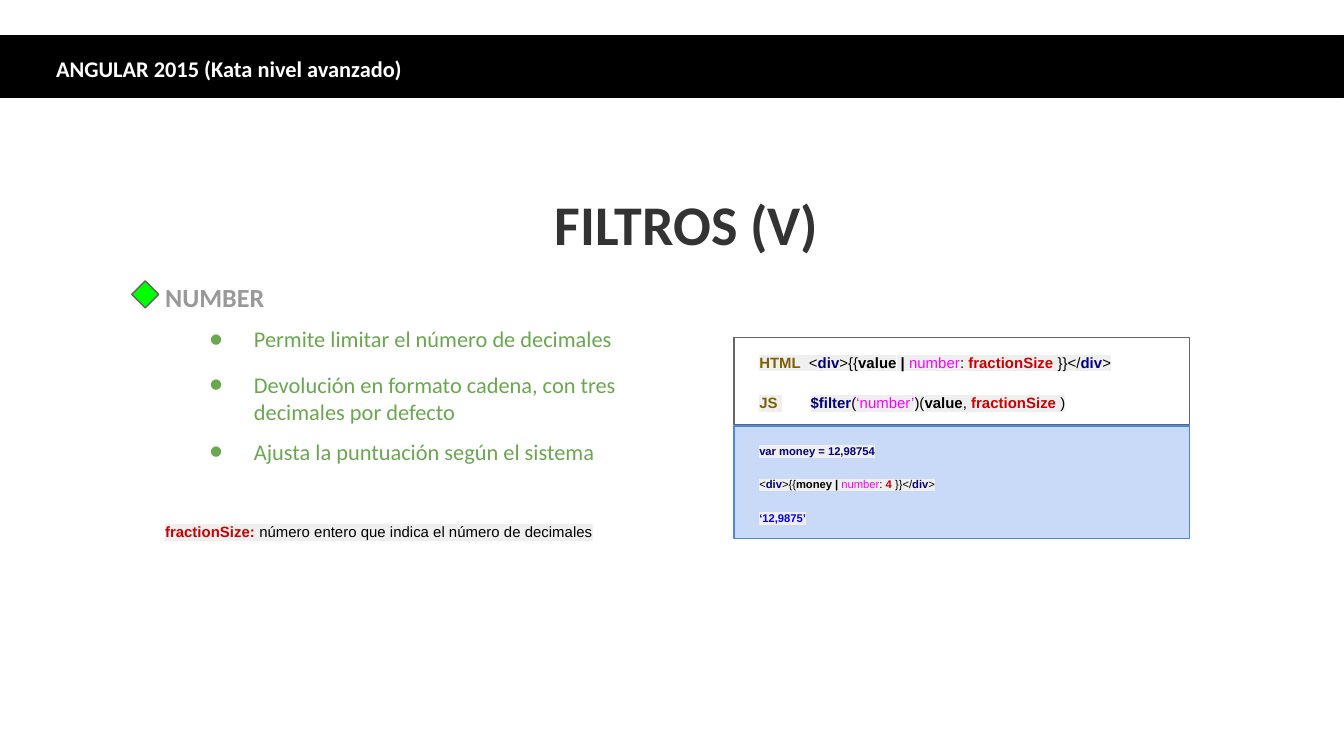
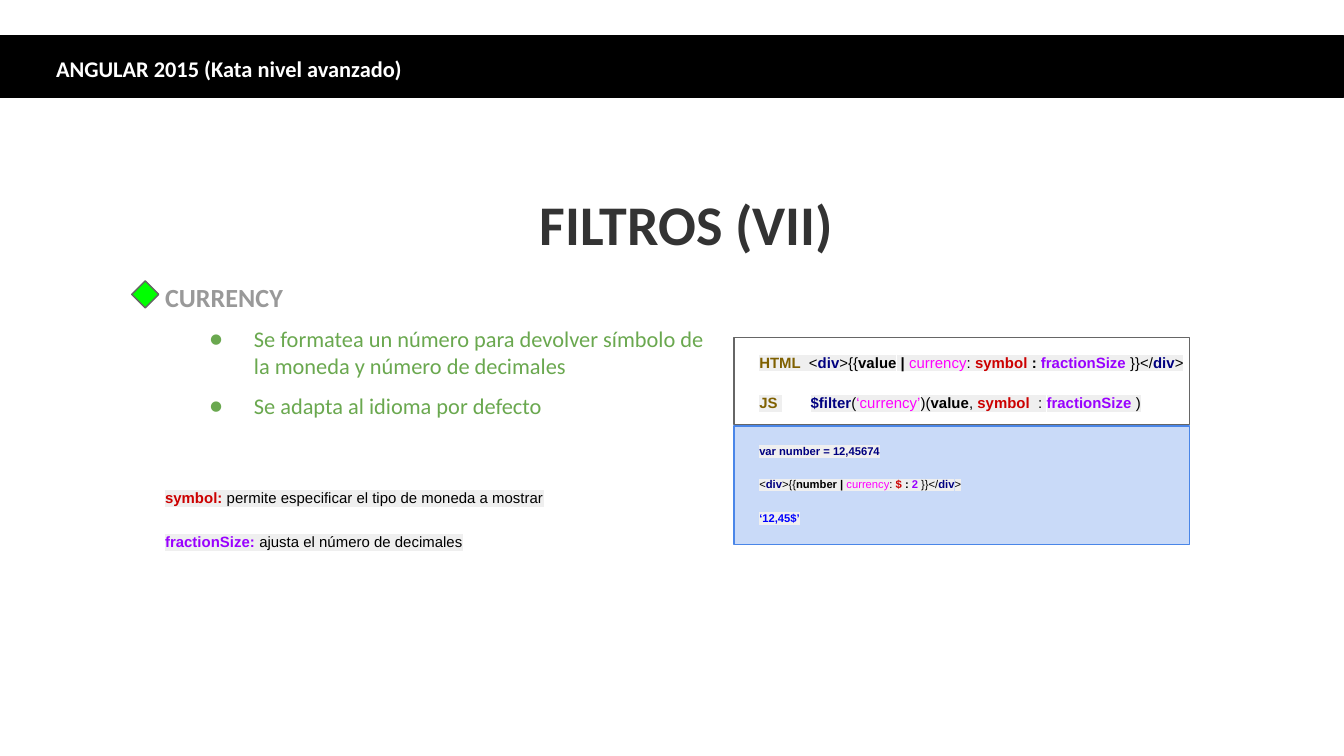
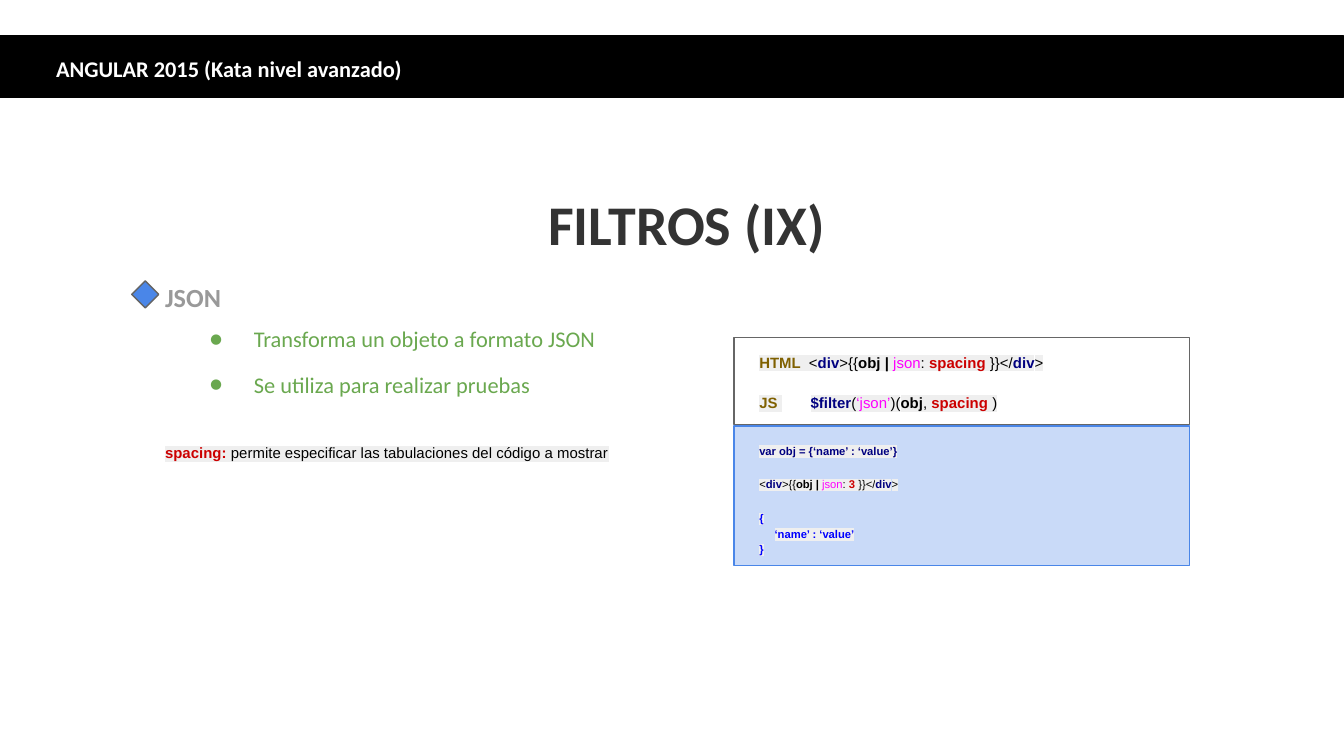
import pptx
import pptx.dml.color
import pptx.enum.shapes
import pptx.enum.text
import pptx.oxml
import pptx.oxml.ns
import pptx.util

Cm = pptx.util.Cm
Pt = pptx.util.Pt
SHAPE = pptx.enum.shapes.MSO_SHAPE
ALIGN = pptx.enum.text.PP_ALIGN
ANCHOR = pptx.enum.text.MSO_ANCHOR
NAMESPACE = pptx.oxml.ns.nsdecls("a")

# Colour and weight of each kind of word in the code samples
CODE_STYLES = {
    "label": ("7F6000", True),
    "plain": ("000000", False),
    "name": ("000000", True),
    "tag": ("000080", True),
    "filter": ("FF00FF", False),
    "first": ("CC0000", True),
    "second": ("9900FF", True),
    "result": ("0000FF", True),
}


def colour(value):
    """Turn a hex string into a colour."""
    return pptx.dml.color.RGBColor.from_string(value)


def assign(target, values):
    """Set every attribute in values on target."""
    for name, value in values.items():
        setattr(target, name, value)


def element(markup):
    """Make a drawing element from markup whose first tag has no namespace."""
    head, mark, tail = markup.partition(" ")
    return pptx.oxml.parse_xml(f"{head} {NAMESPACE} {tail}")


def in_div(*spans):
    """Wrap code spans in a div with a binding."""
    return [("<", "plain"), ("div", "tag"), (">{{", "plain"), *spans,
            ("}}</", "plain"), ("div", "tag"), (">", "plain")]


def binding(value, filter_name, arguments):
    """Return the spans of a filter used in a template."""
    return in_div((value, "name"), (" ", "plain"), ("| ", "name"),
                  (filter_name, "filter"), (": ", "plain"), *arguments)


class FilterDeck:
    """Hold the shared style and the current page."""

    heading_font = "Calibri"
    code_font = "Arial"
    black, white, grey = "000000", "FFFFFF", "999999"
    title_colour, green = "333333", "6AA84F"
    frame_colour, diamond_line = "666666", "646464"
    panel_fill, blue, highlight = "C9DAF8", "4A86E8", "EFEFEF"
    header = "ANGULAR 2015 (Kata nivel avanzado)"
    code_left, panel_left, panel_width = 14.1, 13.87, 8.61
    example_top, example_step = 8.15, 0.635

    def __init__(self):
        """Start an empty deck."""
        self.deck = pptx.Presentation()
        assign(self.deck, {"slide_width": Cm(25.4), "slide_height": Cm(14.29)})
        self.page = None

    def shape(self, kind, place, fill, line, width=0.75):
        """Draw a preset shape; no fill when fill is None."""
        shape = self.page.shapes.add_shape(kind, *map(Cm, place))
        shape.shadow.inherit = False
        if fill:
            shape.fill.solid()
            shape.fill.fore_color.rgb = colour(fill)
        else:
            shape.fill.background()
        shape.line.color.rgb = colour(line)
        shape.line.width = Pt(width)

    def box(self, place, inset, anchor=ANCHOR.TOP):
        """Add an empty wrapping text box and return its frame."""
        frame = self.page.shapes.add_textbox(*map(Cm, place)).text_frame
        assign(frame, {
            "word_wrap": True, "vertical_anchor": anchor,
            "margin_left": Cm(0.25), "margin_right": Cm(0.25),
            "margin_top": Cm(inset), "margin_bottom": Cm(inset),
        })
        return frame

    def span(self, para, text, font, size, tint, bold=False):
        """Add a styled run to a paragraph."""
        span = para.add_run()
        span.text = text
        assign(span.font, {"name": font, "size": Pt(size), "bold": bold})
        span.font.color.rgb = colour(tint)
        return span

    def label(self, text, place, size, tint, align=ALIGN.LEFT, bold=True):
        """Write one paragraph in the heading font and return it."""
        para = self.box(place, 0.13).paragraphs[0]
        para.alignment = align
        self.span(para, text, self.heading_font, size, tint, bold)
        return para

    def bullet(self, text, top):
        """Write one green bullet point."""
        para = self.label(text, (3.28, top, 10.39, 1.3), 12, self.green,
                          bold=False)
        properties = para._p.get_or_add_pPr()
        properties.set("marL", str(Cm(1.27)))
        properties.set("indent", str(-Cm(0.84)))
        for markup in (
            f'<a:buClr ><a:srgbClr val="{self.green}"/></a:buClr>',
            f'<a:buFont typeface="{self.heading_font}"/>',
            '<a:buChar char="●"/>',
        ):
            properties.append(element(markup))

    def code(self, lines, place, size, gap=0, anchor=ANCHOR.MIDDLE):
        """Write highlighted code lines and return their paragraphs."""
        frame = self.box(place, 0.25, anchor)
        for number, spans in enumerate(lines):
            para = frame.add_paragraph() if number else frame.paragraphs[0]
            assign(para, {"line_spacing": 1.15,
                          "space_before": Pt(gap if number else 0)})
            for text, style in spans:
                span = self.span(para, text, self.code_font, size,
                                 *CODE_STYLES[style])
                mark = element(f'<a:highlight ><a:srgbClr '
                               f'val="{self.highlight}"/></a:highlight>')
                span.font._element.solidFill.addnext(mark)
        return frame.paragraphs

    def start(self, title, topic, diamond):
        """Add a page with its band, title and topic."""
        self.page = self.deck.slides.add_slide(self.deck.slide_layouts[6])
        self.shape(SHAPE.RECTANGLE, (0, 0.69, 25.4, 1.14), self.black,
                   self.black, 1.5)
        self.label(self.header, (0.81, 0.91, 17.17, 0.71), 12, self.white)
        self.label(title, (2.18, 3.45, 21.59, 3), 30, self.title_colour,
                   ALIGN.CENTER)
        self.label(topic, (2.87, 5.18, 9.93, 0.71), 14, self.grey)
        self.shape(SHAPE.DIAMOND, (2.49, 5.31, 0.51, 0.51), diamond,
                   self.diamond_line)

    def syntax(self, value, filter_name, in_html, in_script):
        """Show how the filter is written in HTML and in JS."""
        self.shape(SHAPE.RECTANGLE,
                   (self.panel_left, 6.38, self.panel_width, 1.65),
                   None, self.frame_colour)
        html = [("HTML ", "label"), (" ", "plain"),
                *binding(value, filter_name, in_html)]
        script = [("JS ", "label"), ("\t", "plain"), ("$filter", "tag"),
                  ("(", "plain"), (f"‘{filter_name}’", "filter"),
                  (")(", "plain"), (value, "name"), (", ", "plain"),
                  *in_script, (")", "plain")]
        paras = self.code([html, script], (self.code_left, 6.45, 9.37, 1.5),
                          8, gap=10.6)
        paras[1]._p.get_or_add_pPr().append(element(
            f'<a:tabLst ><a:tab pos="{Cm(0.97)}" algn="l"/></a:tabLst>'))

    def example(self, panel_height, declaration, usage, result):
        """Show a declaration, its use and the result in a blue panel."""
        self.shape(SHAPE.RECTANGLE,
                   (self.panel_left, 8.05, self.panel_width, panel_height),
                   self.panel_fill, self.blue)
        blocks = [[[(declaration, "tag")]], [usage],
                  [[(line, "result")] for line in result]]
        for number, lines in enumerate(blocks):
            top = self.example_top + number * self.example_step
            height = 0.71 if len(lines) == 1 else 1.3
            paras = self.code(lines, (self.code_left, top, 8.38, height), 6)
            for para in paras[1:-1]:
                para._p.get_or_add_pPr().set("marL", str(Cm(0.29)))

    def note(self, term, style, meaning, top):
        """Explain one argument of the filter."""
        self.code([[(f"{term}: ", style), (meaning, "plain")]],
                  (2.87, top, 9.37, 0.9), 8, anchor=ANCHOR.TOP)


def number_page(deck):
    """Build the page on the number filter."""
    deck.start("FILTROS (V)", "NUMBER", "00FF00")
    deck.bullet("Permite limitar el número de decimales", 6.02)
    deck.bullet("Devolución en formato cadena, con tres decimales por defecto",
                6.88)
    deck.bullet("Ajusta la puntuación según el sistema", 8.15)
    arguments = [("fractionSize", "first"), (" ", "plain")]
    deck.syntax("value", "number", arguments, arguments)
    deck.example(2.13, "var money = 12,98754",
                 binding("money", "number", [("4", "first"), (" ", "plain")]),
                 ["‘12,9875’"])
    deck.note("fractionSize", "first",
              "número entero que indica el número de decimales", 9.63)


def currency_page(deck):
    """Build the page on the currency filter."""
    deck.start("FILTROS (VII)", "CURRENCY", "00FF00")
    deck.bullet("Se formatea un número para devolver símbolo de la moneda "
                "y número de decimales", 6.02)
    deck.bullet("Se adapta al idioma por defecto", 7.29)
    symbol, fraction = ("symbol ", "first"), ("fractionSize ", "second")
    deck.syntax("value", "currency",
                [symbol, (":", "name"), (" ", "plain"), fraction],
                [symbol, (" : ", "plain"), fraction])
    deck.example(2.24, "var number = 12,45674",
                 binding("number", "currency",
                         [("$ ", "first"), (":", "name"), (" 2 ", "second")]),
                 ["‘12,45$’"])
    deck.note("symbol", "first",
              "permite especificar el tipo de moneda a mostrar", 8.99)
    deck.note("fractionSize", "second", "ajusta el número de decimales", 9.83)


def json_page(deck):
    """Build the page on the json filter."""
    deck.start("FILTROS (IX)", "JSON", deck.blue)
    deck.bullet("Transforma un objeto a formato JSON", 6.02)
    deck.bullet("Se utiliza para realizar pruebas", 6.88)
    arguments = [("spacing", "first"), (" ", "plain")]
    deck.syntax("obj", "json", arguments, arguments)
    deck.example(2.64, "var obj = {‘name’ : ‘value’}",
                 binding("obj", "json", [("3", "first"), (" ", "plain")]),
                 ["{", "‘name’ : ‘value’", "}"])
    deck.note("spacing", "first",
              "permite especificar las tabulaciones del código a mostrar", 8.15)


filters = FilterDeck()
for build in (number_page, currency_page, json_page):
    build(filters)
filters.deck.save("out.pptx")
